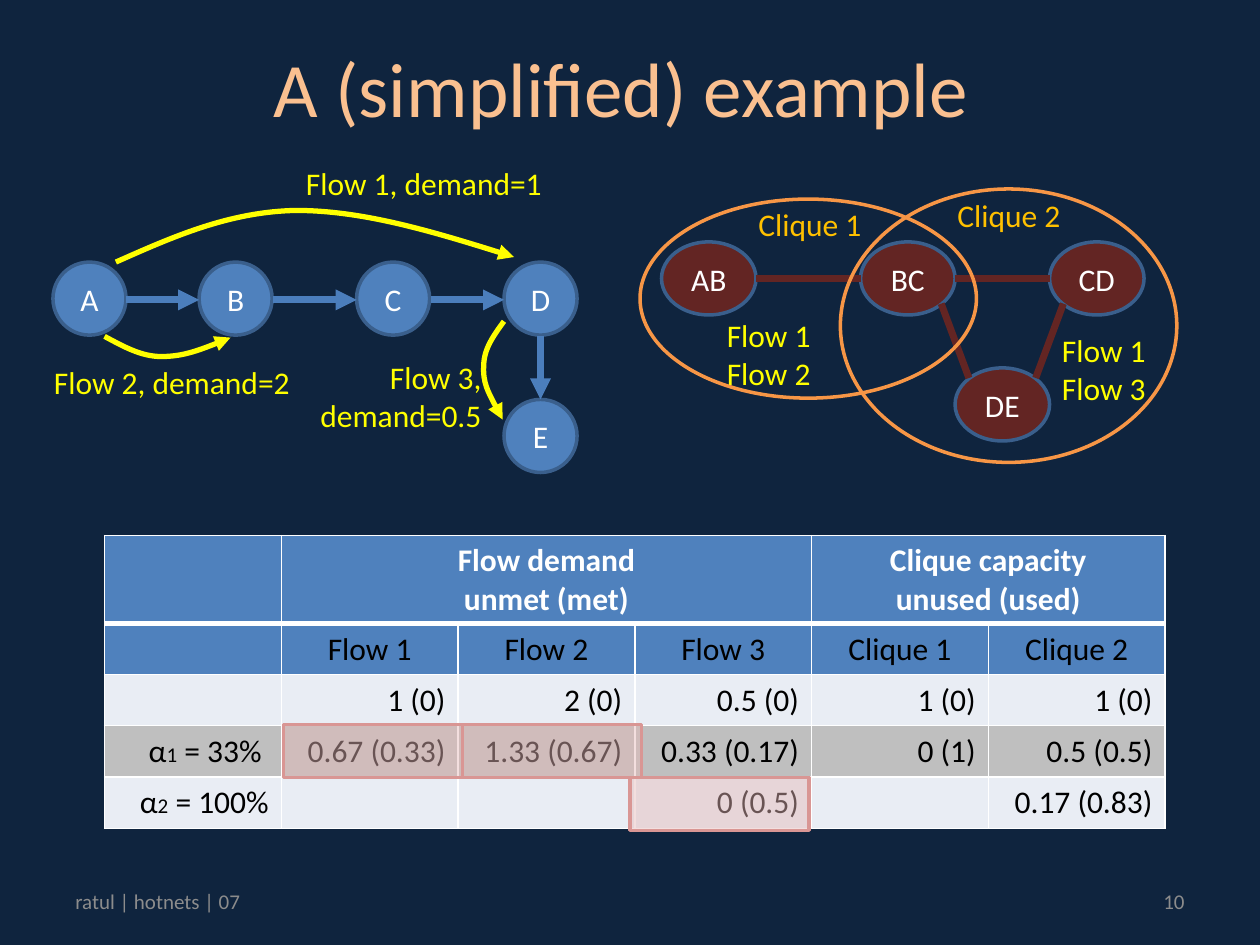
from pptx import Presentation
from pptx.dml.color import RGBColor
from pptx.enum.shapes import MSO_CONNECTOR, MSO_SHAPE
from pptx.enum.text import MSO_ANCHOR, PP_ALIGN
from pptx.oxml.ns import qn
from pptx.util import Inches, Pt
from lxml.etree import SubElement

NAVY = RGBColor(0x0F, 0x24, 0x3E)
PEACH = RGBColor(0xFA, 0xC0, 0x90)
GRAY = RGBColor(0x8C, 0x8C, 0x8C)
BLUE = RGBColor(0x4F, 0x81, 0xBD)
LINK_BLUE = RGBColor(0x4B, 0x7E, 0xBC)
OUTLINE = RGBColor(0x3A, 0x5F, 0x8C)
MAROON = RGBColor(0x63, 0x25, 0x23)
YELLOW = RGBColor(0xFF, 0xFF, 0x00)
GOLD = RGBColor(0xFF, 0xC0, 0x00)
ORANGE = RGBColor(0xF7, 0x96, 0x46)
WHITE = RGBColor(0xFF, 0xFF, 0xFF)
BLACK = RGBColor(0, 0, 0)
PALE = RGBColor(0xE9, 0xED, 0xF4)
SILVER = RGBColor(0xBF, 0xBF, 0xBF)
PINK = RGBColor(0xE6, 0xB9, 0xB8)
ROSE = RGBColor(0xD9, 0x96, 0x94)
LEFT, CENTER, RIGHT = PP_ALIGN.LEFT, PP_ALIGN.CENTER, PP_ALIGN.RIGHT

# Content: network nodes (left, top), links and flows
NODE_HEIGHT = 0.58
ROUTERS = {"A": (0.42, 2.08), "B": (1.58, 2.08), "C": (2.83, 2.08),
           "D": (4, 2.08), "E": (4, 3.17)}
CONTENTION = {"AB": (5.25, 1.92), "BC": (6.83, 1.92), "CD": (8.33, 1.92),
              "DE": (7.58, 2.92)}
ROUTER_LINKS = [((1, 2.38), (1.58, 2.38)), ((2.17, 2.38), (2.83, 2.38)),
                ((3.42, 2.38), (4, 2.38)), ((4.29, 2.67), (4.29, 3.17))]
CONTENTION_LINKS = [((6, 2.21), (6.83, 2.21)), ((7.58, 2.21), (8.33, 2.21)),
                    ((7.47, 2.41), (7.69, 3)), ((8.22, 3), (8.44, 2.41))]
# Each flow: start, then two Bezier segments of three points
FLOWS = [
    [(0.92, 2.08), (1.37, 1.88), (1.82, 1.68), (2.35, 1.67),
     (2.87, 1.67), (3.48, 1.85), (4.08, 2.04)],
    [(4, 2.55), (3.92, 2.66), (3.84, 2.77), (3.84, 2.9),
     (3.83, 3.04), (3.91, 3.18), (3.99, 3.33)],
    [(0.83, 2.67), (0.98, 2.75), (1.12, 2.83), (1.28, 2.83),
     (1.45, 2.83), (1.64, 2.76), (1.83, 2.68)],
]
CLIQUES = [(5.08, 1.58, 2.67, 1.58), (6.67, 1.5, 2.67, 2.17)]
LABELS = [
    (["Flow 1, demand=1"], (2.33, 1.25, 2.25, 0.4), YELLOW, LEFT),
    (["Flow 3, demand=0.5"], (2.42, 2.79, 1.5, 0.71), YELLOW, RIGHT),
    (["Flow 2, demand=2"], (0.33, 2.83, 2.5, 0.4), YELLOW, LEFT),
    (["Flow 1", "Flow 3"], (8.33, 2.58, 1, 0.71), YELLOW, LEFT),
    (["Flow 1", "Flow 2"], (5.67, 2.46, 1, 0.71), YELLOW, LEFT),
    (["Clique 1"], (5.92, 1.58, 1.25, 0.4), GOLD, LEFT),
    (["Clique 2"], (7.5, 1.51, 1.25, 0.4), GOLD, LEFT),
]
FOOTERS = [("ratul | hotnets | 07", 0.5, LEFT), ("10", 7.17, RIGHT)]

# Content: the table and its two step rows; a tuple is a subscripted label
HEADERS = ["", "Flow demand\nunmet (met)", "", "", "Clique capacity\nunused (used)", ""]
HEADER_SPANS = [(1, 3), (4, 5)]
COLUMNS = ["", "Flow 1", "Flow 2", "Flow 3", "Clique 1", "Clique 2"]
START = ["", "1 (0)", "2 (0)", "0.5 (0)", "1 (0)", "1 (0)"]
STEP_1 = [("α", "1", " = 33% "), "0.67 (0.33)", "1.33 (0.67)", "0.33 (0.17)",
          "0 (1)", "0.5 (0.5)"]
STEP_2 = [("α", "2", " = 100%"), "", "", "0 (0.5)", "", "0.17 (0.83)"]
TABLE_LEFT, COLUMN_WIDTH, HEADER_HEIGHT, ROW_HEIGHT = 0.83, 1.403, 0.7, 0.405
# Row: texts, height, fill, font colour, bold, alignment, top and bottom border
TABLES = [
    (4.25, [(HEADERS, HEADER_HEIGHT, BLUE, WHITE, True, CENTER, 1, 3),
            (COLUMNS, ROW_HEIGHT, BLUE, BLACK, False, CENTER, 3, 1),
            (START, ROW_HEIGHT, PALE, BLACK, False, RIGHT, 1, 1)]),
    (5.76, [(STEP_1, ROW_HEIGHT, SILVER, BLACK, False, RIGHT, 1, 1)]),
    (6.17, [(STEP_2, ROW_HEIGHT, PALE, BLACK, False, RIGHT, 1, 1)]),
]
HIGHLIGHTS = [(2.25, 5.75), (3.67, 5.75), (5, 6.17)]


def inches(values):
    return [Inches(value) for value in values]


def add_run(paragraph, text, color, size=18, bold=False):
    run = paragraph.add_run()
    run.text = text
    font = run.font
    font.name, font.size, font.bold = "Calibri", Pt(size), bold
    font.color.rgb = color


def add_label(slide, lines, box, color, alignment, size=18, anchor=MSO_ANCHOR.TOP):
    frame = slide.shapes.add_textbox(*inches(box)).text_frame
    frame.word_wrap = True
    frame.vertical_anchor = anchor
    for index, line in enumerate(lines):
        paragraph = frame.add_paragraph() if index else frame.paragraphs[0]
        paragraph.alignment = alignment
        add_run(paragraph, line, color, size)


def style_line(shape, color, width, arrow=False):
    shape.line.color.rgb = color
    shape.line.width = Pt(width)
    if arrow:
        line = shape._element.spPr.find(qn("a:ln"))
        SubElement(line, qn("a:tailEnd"), type="triangle")


def add_outlined(slide, preset, box, fill, color):
    shape = slide.shapes.add_shape(preset, *inches(box))
    shape.shadow.inherit = False
    if fill is None:
        shape.fill.background()
    else:
        shape.fill.solid()
        shape.fill.fore_color.rgb = fill
    style_line(shape, color, 2)
    return shape


def add_nodes(slide, nodes, width, fill):
    for name, position in nodes.items():
        box = (*position, width, NODE_HEIGHT)
        frame = add_outlined(slide, MSO_SHAPE.OVAL, box, fill, OUTLINE).text_frame
        frame.margin_left = frame.margin_right = 0
        frame.vertical_anchor = MSO_ANCHOR.MIDDLE
        frame.paragraphs[0].alignment = CENTER
        add_run(frame.paragraphs[0], name, WHITE)


def add_links(slide, links, color, arrow):
    for start, end in links:
        link = slide.shapes.add_connector(MSO_CONNECTOR.STRAIGHT, *inches(start + end))
        style_line(link, color, 4, arrow)
        SubElement(link._element.spPr, qn("a:effectLst"))


def add_flow(slide, points):
    start, *others = [inches(point) for point in points]
    builder = slide.shapes.build_freeform(*start)
    builder.add_line_segments(others, close=False)
    shape = builder.convert_to_shape()
    shape.shadow.inherit = False
    shape.fill.background()
    style_line(shape, YELLOW, 3, arrow=True)
    # Turn every three straight segments into one Bezier segment
    outline = shape._element.xpath(".//a:path")[0]
    segments = outline.findall(qn("a:lnTo"))
    for first in range(0, len(segments), 3):
        curve = SubElement(outline, qn("a:cubicBezTo"))
        for segment in segments[first:first + 3]:
            curve.append(segment[0])
            outline.remove(segment)


def fill_cell(cell, content, fill, color, bold, alignment, top, bottom):
    properties = cell._tc.get_or_add_tcPr()
    for side, width in (("L", 1), ("R", 1), ("T", top), ("B", bottom)):
        border = SubElement(properties, qn(f"a:ln{side}"), w=str(Pt(width)))
        SubElement(SubElement(border, qn("a:solidFill")), qn("a:srgbClr"), val=str(WHITE))
    cell.fill.solid()
    cell.fill.fore_color.rgb = fill
    paragraph = cell.text_frame.paragraphs[0]
    paragraph.alignment = alignment
    if isinstance(content, tuple):
        for text, size in zip(content, (18, 12, 18)):
            add_run(paragraph, text, color, size)
    elif content:
        for index, line in enumerate(content.split("\n")):
            if index:
                paragraph.add_line_break()
            add_run(paragraph, line, color, bold=bold)


def add_grid(slide, top, rows):
    count = len(COLUMNS)
    box = (TABLE_LEFT, top, COLUMN_WIDTH * count, sum(row[1] for row in rows))
    table = slide.shapes.add_table(len(rows), count, *inches(box)).table
    table.first_row = table.horz_banding = False
    for column in table.columns:
        column.width = Inches(COLUMN_WIDTH)
    for index, (texts, height, *style) in enumerate(rows):
        table.rows[index].height = Inches(height)
        for column, content in enumerate(texts):
            fill_cell(table.cell(index, column), content, *style)
    return table


def main():
    presentation = Presentation()
    presentation.slide_width, presentation.slide_height = Inches(10), Inches(7.5)
    slide = presentation.slides.add_slide(presentation.slide_layouts[5])
    slide.background.fill.solid()
    slide.background.fill.fore_color.rgb = NAVY

    # Title and footers
    title = slide.shapes.title
    title.left, title.top, title.width, title.height = inches((0.5, 0.25, 9, 0.87))
    title.text_frame.vertical_anchor = MSO_ANCHOR.MIDDLE
    title.text_frame.paragraphs[0].alignment = CENTER
    add_run(title.text_frame.paragraphs[0], "A (simplified) example ", PEACH, 44)
    for text, left, alignment in FOOTERS:
        add_label(slide, [text], (left, 6.95, 2.33, 0.4), GRAY, alignment, 12, MSO_ANCHOR.MIDDLE)

    # Network, contention graph and flows
    add_nodes(slide, ROUTERS, NODE_HEIGHT, BLUE)
    add_links(slide, ROUTER_LINKS, LINK_BLUE, True)
    add_nodes(slide, CONTENTION, 0.75, MAROON)
    add_links(slide, CONTENTION_LINKS, MAROON, False)
    for points in FLOWS:
        add_flow(slide, points)
    for box in CLIQUES:
        add_outlined(slide, MSO_SHAPE.OVAL, box, None, ORANGE)
    for label in LABELS:
        add_label(slide, *label)

    # Tables with highlighted cells
    tables = [add_grid(slide, top, rows) for top, rows in TABLES]
    for first, last in HEADER_SPANS:
        tables[0].cell(0, first).merge(tables[0].cell(0, last))
    for position in HIGHLIGHTS:
        shape = add_outlined(slide, MSO_SHAPE.RECTANGLE, (*position, 1.42, 0.42), PINK, ROSE)
        color = shape._element.spPr.find(qn("a:solidFill"))[0]
        SubElement(color, qn("a:alpha"), val="46000")

    presentation.save("out.pptx")


if __name__ == "__main__":
    main()
